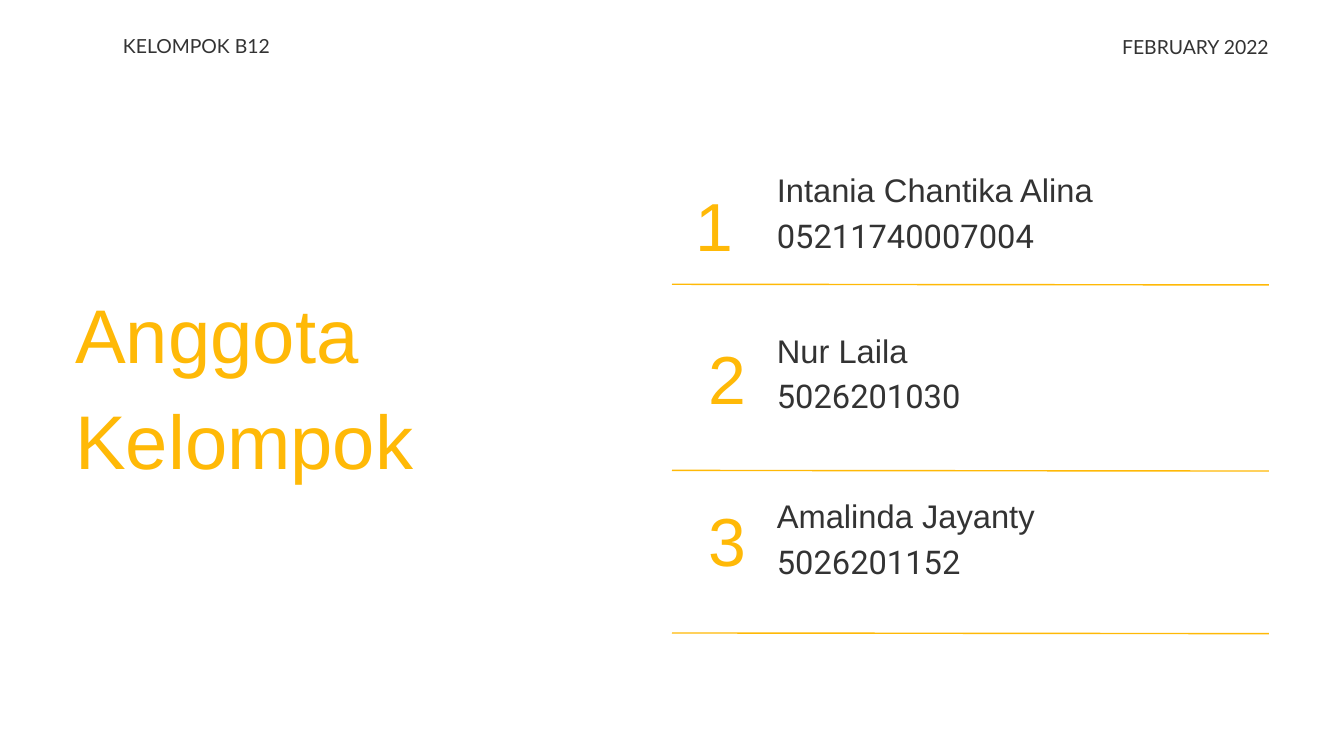
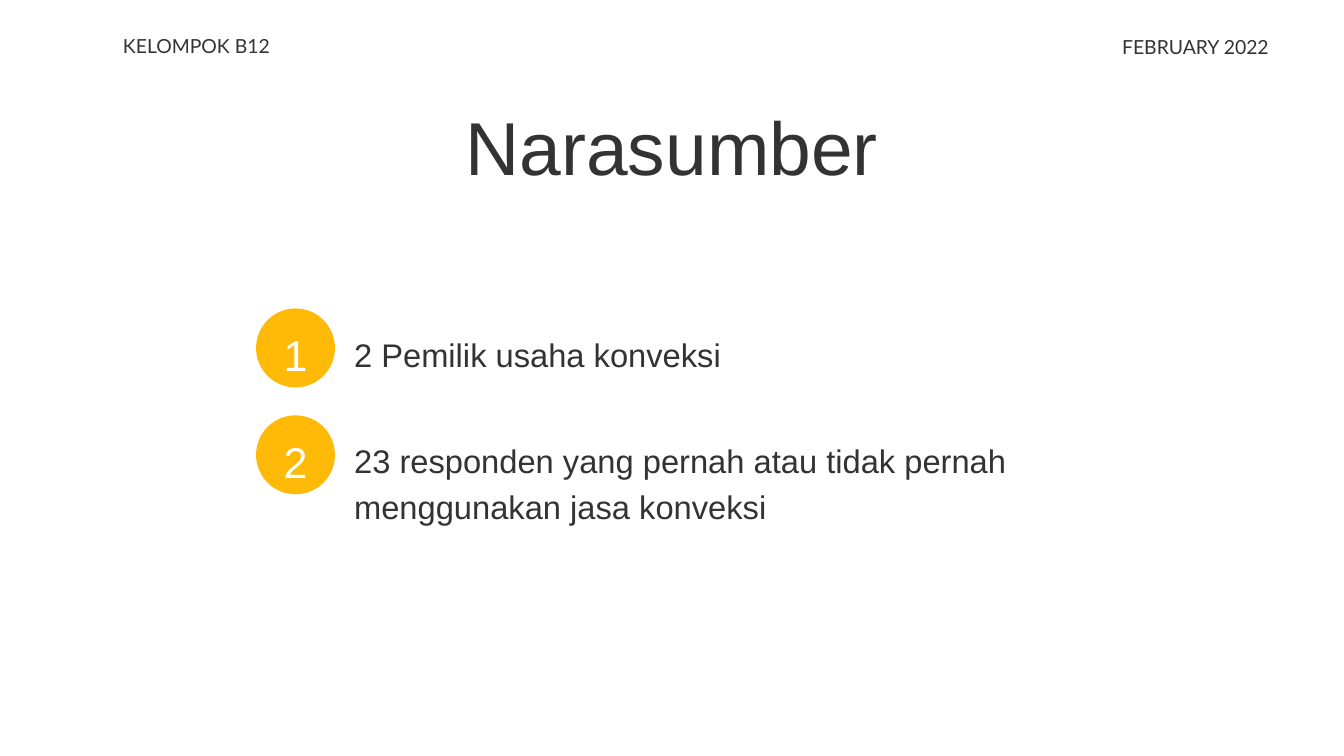
"""Build the group members and interviewees slides."""
from lxml import etree
from pptx import Presentation
from pptx.dml.color import RGBColor
from pptx.enum.shapes import MSO_CONNECTOR, MSO_SHAPE
from pptx.enum.text import MSO_ANCHOR, MSO_AUTO_SIZE, PP_ALIGN
from pptx.oxml.ns import qn
from pptx.util import Pt

LEFT, CENTER, RIGHT = PP_ALIGN.LEFT, PP_ALIGN.CENTER, PP_ALIGN.RIGHT
TOP, NO_FIT = MSO_ANCHOR.TOP, MSO_AUTO_SIZE.NONE
OVAL, STRAIGHT = MSO_SHAPE.OVAL, MSO_CONNECTOR.STRAIGHT
COLORS = {"accent": "FFB907", "text": "333333", "white": "FFFFFF"}
LINE_RATIO = 1.4


def write(sp, lines, size, color="text", align=LEFT):
    tf = sp.text_frame
    tf.word_wrap = True
    tf.auto_size = NO_FIT
    tf.vertical_anchor = TOP
    tf.margin_left = tf.margin_top = tf.margin_right = tf.margin_bottom = 0
    for i, (text, font) in enumerate(lines):
        p = tf.add_paragraph() if i else tf.paragraphs[0]
        p.text = text
        p.alignment = align
        p.line_spacing = Pt(round(size * LINE_RATIO, 1))
        p.space_before = Pt(0)
        p.font.name = font
        p.font.size = Pt(size)
        p.font.color.rgb = RGBColor.from_string(COLORS[color])


def add_text(s, box, lines, size, color="text", align=LEFT):
    sp = s.shapes.add_textbox(*map(Pt, box))
    write(sp, lines, size, color, align)


prs = Presentation()
prs.slide_width, prs.slide_height = Pt(1440), Pt(810)

titles = [
    ("Anggota Kelompok", (80.6, 291.6, 596.2, 224.6), 81.5, "accent", LEFT),
    ("Narasumber", (80.6, 92.2, 1278, 108), 80.3, "text", CENTER),
]
slides = []
for title, box, size, color, align in titles:
    s = prs.slides.add_slide(prs.slide_layouts[5])
    sp = s.shapes.title
    sp.left, sp.top, sp.width, sp.height = map(Pt, box)
    write(sp, [(title, "Arial")], size, color, align)
    add_text(s, (1140.5, 33.8, 218.9, 28.1), [("FEBRUARY 2022", "Lato")], 20.8, align=RIGHT)
    add_text(s, (131.8, 32.4, 161.3, 28.1), [("KELOMPOK B12", "Lato")], 20.8)
    slides.append(s)
members_slide, sources_slide = slides

members = [
    ("Intania Chantika Alina", "05211740007004", 175, 182.2, 66.2, 304.6),
    ("Nur Laila", "5026201030", 347, 346.3, 79.2, 504),
    ("Amalinda Jayanty", "5026201152", 524.2, 519.8, 79.2, 678.2),
]
for i, (name, student_id, top, number_top, number_width, rule_top) in enumerate(members, 1):
    add_text(members_slide, (832.3, top, 526.3, 98), [(name, "Arial"), (student_id, "Roboto")], 35)
    add_text(members_slide, (720, number_top, number_width, 97.2), [(str(i), "Arial")],
             72.8, "accent", RIGHT)
    rule = members_slide.shapes.add_connector(
        STRAIGHT, Pt(720), Pt(rule_top), Pt(1359.4), Pt(rule_top + 0.7))
    rule.line.width = Pt(1.5)
    rule.line.color.rgb = RGBColor.from_string(COLORS["accent"])
    etree.SubElement(rule._element.spPr, qn("a:effectLst"))

sources = [
    ("2 Pemilik usaha konveksi", 330.5, 351.4, 47),
    ("23 responden yang pernah atau tidak pernah menggunakan jasa konveksi", 445, 465.1, 96),
]
for i, (text, circle_top, text_top, height) in enumerate(sources, 1):
    sp = sources_slide.shapes.add_shape(OVAL, Pt(274.3), Pt(circle_top), Pt(84.6), Pt(84.6))
    sp.shadow.inherit = False
    sp.fill.solid()
    sp.fill.fore_color.rgb = RGBColor.from_string(COLORS["accent"])
    sp.line.fill.background()
    write(sp, [(str(i), "Arial")], 46.1, "white", CENTER)
    add_text(sources_slide, (379.4, text_top, 786.2, height), [(text, "Arial")], 35)

prs.save("out.pptx")
